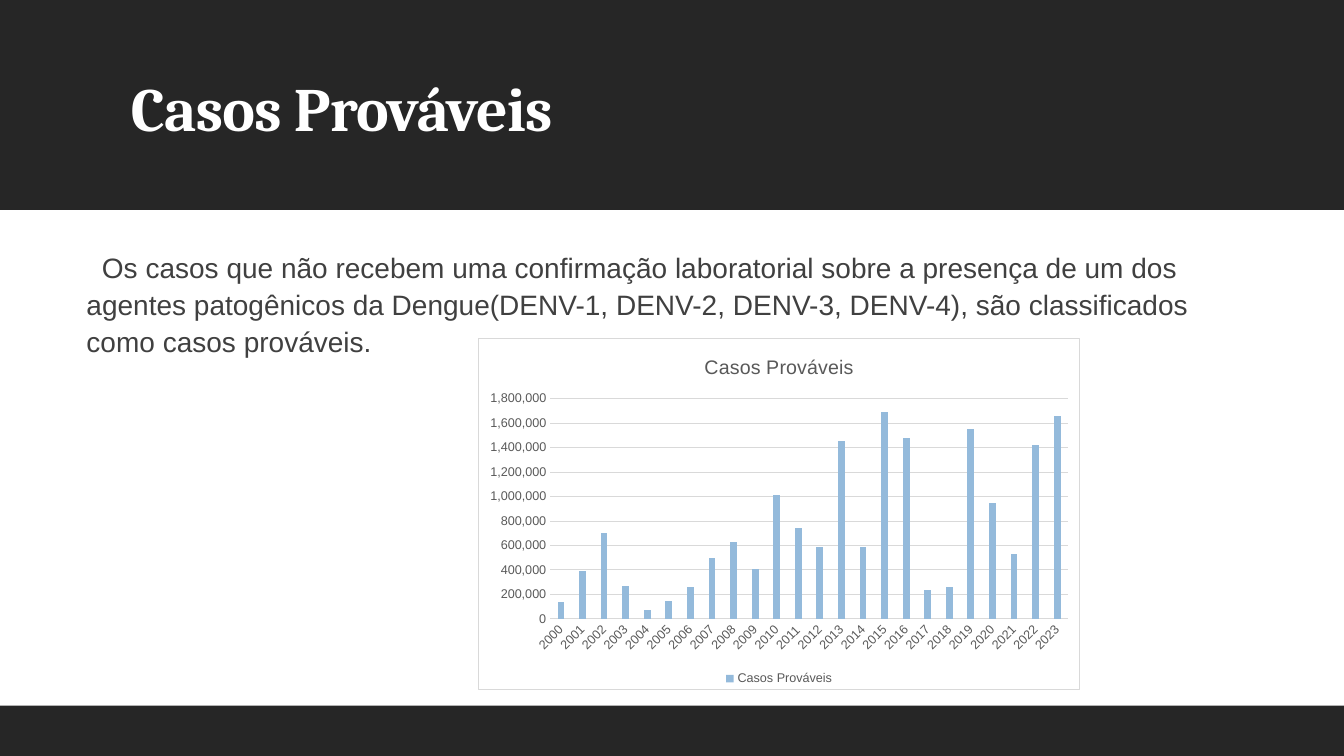
from dataclasses import dataclass

from lxml.etree import _Element
from pptx import Presentation
from pptx.chart.axis import CategoryAxis, ValueAxis
from pptx.chart.chart import Chart
from pptx.chart.data import CategoryChartData
from pptx.dml.color import RGBColor
from pptx.enum.chart import XL_CHART_TYPE, XL_LEGEND_POSITION, XL_TICK_MARK
from pptx.enum.shapes import MSO_SHAPE
from pptx.enum.text import MSO_ANCHOR
from pptx.oxml import parse_xml
from pptx.slide import Slide
from pptx.text.text import Font
from pptx.util import Cm, Pt

WHITE = RGBColor(0xFF, 0xFF, 0xFF)
CHARCOAL = RGBColor(0x26, 0x26, 0x26)
BODY_GRAY = RGBColor(0x40, 0x40, 0x40)
LABEL_GRAY = RGBColor(0x59, 0x59, 0x59)
LINE_GRAY = RGBColor(0xD9, 0xD9, 0xD9)
BAR_BLUE = RGBColor(0x94, 0xBA, 0xDB)

PAGE_WIDTH = Cm(33.87)
PAGE_HEIGHT = Cm(19.05)
CASES_TITLE = "Casos Prováveis"
EXPLANATION = (
    "Os casos que não recebem uma confirmação laboratorial sobre a presença de um dos "
    "agentes patogênicos da Dengue(DENV-1, DENV-2, DENV-3, DENV-4), são classificados "
    "como casos prováveis."
)
FIRST_YEAR = 2000
CASES_IN_THOUSANDS = [
    140, 390, 700, 270, 70, 150, 260, 500, 630, 410, 1010, 740,
    590, 1450, 590, 1690, 1480, 240, 260, 1550, 950, 530, 1420, 1660,
]


@dataclass
class Band:
    top: Cm
    height: Cm
    color: RGBColor


@dataclass
class TextBlock:
    text: str
    left: Cm
    top: Cm
    width: Cm
    height: Cm
    side_margin: Cm
    anchor: MSO_ANCHOR
    line_spacing: float
    indent: Cm
    font_name: str
    size: Pt
    color: RGBColor
    bold: bool = False
    tracking: int = 0


BANDS = [
    Band(Cm(0), PAGE_HEIGHT, WHITE),
    Band(Cm(0), Cm(5.29), CHARCOAL),
    Band(Cm(17.78), Cm(1.27), CHARCOAL),
]
TEXT_BLOCKS = [
    TextBlock(CASES_TITLE, Cm(3.05), Cm(0.79), Cm(27.94), Cm(4.04), Cm(0.25),
              MSO_ANCHOR.MIDDLE, 0.9, Cm(0), "Cambria", Pt(44), WHITE, True, -50),
    TextBlock(EXPLANATION, Cm(2.18), Cm(6.1), Cm(27.94), Cm(10.72), Cm(0),
              MSO_ANCHOR.TOP, 1.1, Cm(0.39), "Arial", Pt(20), BODY_GRAY),
]


def style_font(font: Font, name: str, size: Pt, color: RGBColor, bold: bool = False) -> None:
    font.name = name
    font.size = size
    font.bold = bold
    font.color.rgb = color


def add_band(page: Slide, band: Band) -> None:
    shape = page.shapes.add_shape(MSO_SHAPE.RECTANGLE, Cm(0), band.top, PAGE_WIDTH, band.height)
    shape.shadow.inherit = False
    shape.fill.solid()
    shape.fill.fore_color.rgb = band.color
    shape.line.fill.background()


def add_text_block(page: Slide, block: TextBlock) -> None:
    box = page.shapes.add_textbox(block.left, block.top, block.width, block.height)
    frame = box.text_frame
    frame.word_wrap = True
    frame.vertical_anchor = block.anchor
    frame.margin_left = frame.margin_right = block.side_margin
    para = frame.paragraphs[0]
    para.line_spacing = block.line_spacing
    if block.indent:
        para._p.get_or_add_pPr().set("indent", str(int(block.indent)))
    span = para.add_run()
    span.text = block.text
    style_font(span.font, block.font_name, block.size, block.color, block.bold)
    if block.tracking:
        span._r.get_or_add_rPr().set("spc", str(block.tracking))


def chart_frame() -> _Element:
    """Return the fill and border of the whole chart area."""
    return parse_xml(
        '<c:spPr xmlns:c="http://schemas.openxmlformats.org/drawingml/2006/chart" '
        'xmlns:a="http://schemas.openxmlformats.org/drawingml/2006/main">'
        f'<a:solidFill><a:srgbClr val="{WHITE}"/></a:solidFill>'
        f'<a:ln w="{int(Pt(0.75))}"><a:solidFill><a:srgbClr val="{LINE_GRAY}"/></a:solidFill></a:ln>'
        "</c:spPr>"
    )


def style_axis(axis: CategoryAxis | ValueAxis) -> None:
    axis.major_tick_mark = XL_TICK_MARK.NONE
    axis.minor_tick_mark = XL_TICK_MARK.NONE
    style_font(axis.tick_labels.font, "Arial", Pt(9), LABEL_GRAY)


def style_axes(chart: Chart) -> None:
    years = chart.category_axis
    style_axis(years)
    years.format.line.color.rgb = LINE_GRAY
    years.format.line.width = Pt(0.75)
    years._element.txPr.bodyPr.set("rot", "-2700000")

    cases = chart.value_axis
    style_axis(cases)
    cases.minimum_scale = 0
    cases.maximum_scale = 1800000
    cases.major_unit = 200000
    cases.tick_labels.number_format = "#,##0"
    cases.tick_labels.number_format_is_linked = False
    cases.format.line.fill.background()
    cases.has_major_gridlines = True
    cases.major_gridlines.format.line.color.rgb = LINE_GRAY
    cases.major_gridlines.format.line.width = Pt(0.75)


def add_cases_chart(page: Slide) -> None:
    data = CategoryChartData(number_format="#,##0")
    data.categories = [str(FIRST_YEAR + step) for step in range(len(CASES_IN_THOUSANDS))]
    data.add_series(CASES_TITLE, [thousands * 1000 for thousands in CASES_IN_THOUSANDS])
    chart = page.shapes.add_chart(
        XL_CHART_TYPE.COLUMN_CLUSTERED, Cm(12.04), Cm(8.51), Cm(15.19), Cm(8.89), data
    ).chart
    chart.font.name = "Arial"
    chart.font.size = Pt(10)
    chart._chartSpace.chart.addnext(chart_frame())

    chart.has_title = True
    span = chart.chart_title.text_frame.paragraphs[0].add_run()
    span.text = CASES_TITLE
    style_font(span.font, "Arial", Pt(14), LABEL_GRAY)
    chart.chart_title.include_in_layout = False

    chart.has_legend = True
    chart.legend.position = XL_LEGEND_POSITION.BOTTOM
    chart.legend.include_in_layout = False
    style_font(chart.legend.font, "Arial", Pt(9), LABEL_GRAY)

    plot = chart.plots[0]
    plot.gap_width = 219
    plot.vary_by_categories = False
    bars = plot.series[0].format
    bars.fill.solid()
    bars.fill.fore_color.rgb = BAR_BLUE
    style_axes(chart)


def main() -> None:
    deck = Presentation()
    deck.slide_width = PAGE_WIDTH
    deck.slide_height = PAGE_HEIGHT
    page = deck.slides.add_slide(deck.slide_layouts[6])
    for band in BANDS:
        add_band(page, band)
    for block in TEXT_BLOCKS:
        add_text_block(page, block)
    add_cases_chart(page)
    deck.save("out.pptx")


if __name__ == "__main__":
    main()
